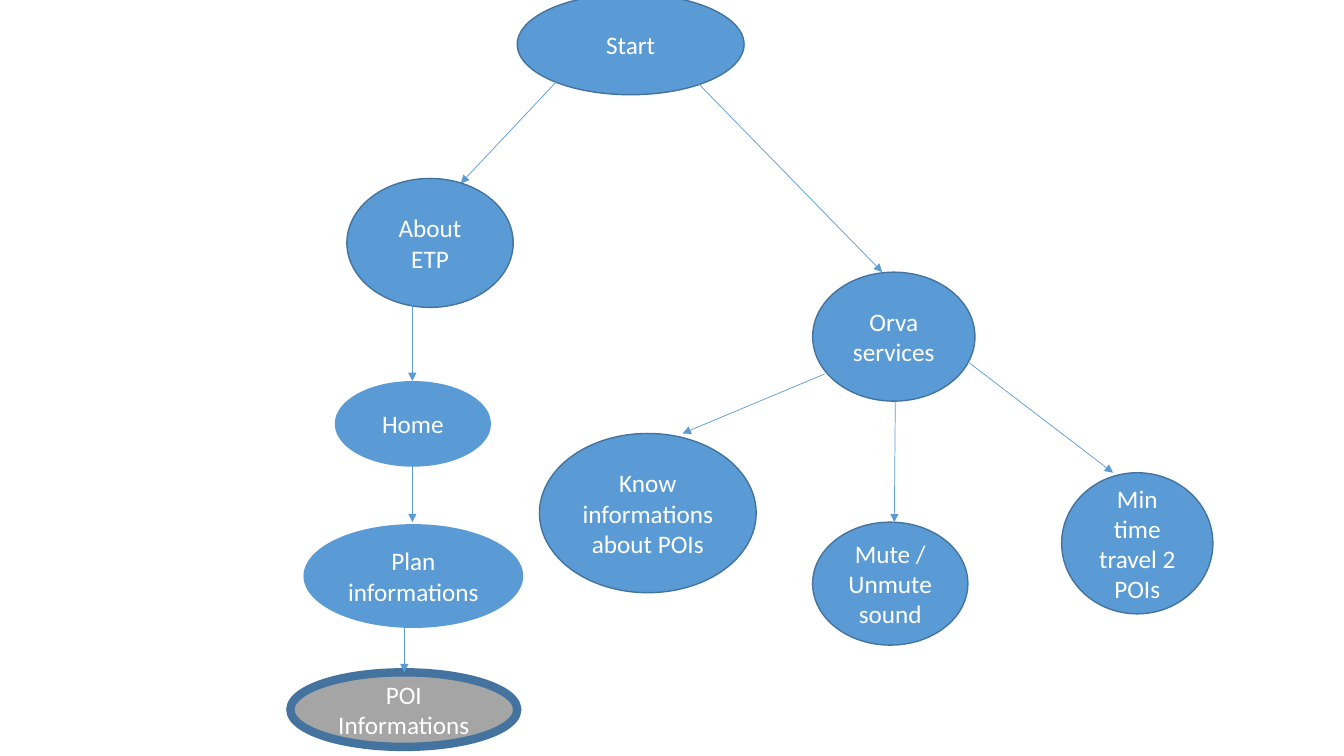
from lxml import etree
from pptx import Presentation
from pptx.dml.color import RGBColor
from pptx.enum import shapes, text
from pptx.oxml import ns
from pptx.util import Inches, Pt

COLORS = {
    "node": "5B9BD5",
    "outline": "43739E",
    "final": "A5A5A5",
    "arrow": "5B9BD5",
    "label": "FFFFFF",
}


def color(name):
    return RGBColor.from_string(COLORS[name])


def add_node(slide, box, label, fill="node", outline=1):
    shape = slide.shapes.add_shape(
        shapes.MSO_SHAPE.OVAL, *(Inches(value) for value in box)
    )
    shape.shadow.inherit = False
    shape.fill.solid()
    shape.fill.fore_color.rgb = color(fill)
    if outline:
        shape.line.color.rgb = color("outline")
        shape.line.width = Pt(outline)
    else:
        shape.line.fill.background()
    frame = shape.text_frame
    frame.word_wrap = True
    frame.vertical_anchor = text.MSO_ANCHOR.MIDDLE
    frame.text = label
    for paragraph in frame.paragraphs:
        paragraph.alignment = text.PP_ALIGN.CENTER
        for run in paragraph.runs:
            run.font.name = "Calibri"
            run.font.size = Pt(18)
            run.font.color.rgb = color("label")


def add_arrow(slide, start, end):
    connector = slide.shapes.add_connector(
        shapes.MSO_CONNECTOR.STRAIGHT, *(Inches(value) for value in (*start, *end))
    )
    connector.line.color.rgb = color("arrow")
    connector.line.width = Pt(0.5)
    line = connector.line._get_or_add_ln()
    etree.SubElement(line, ns.qn("a:tailEnd"), type="triangle")
    etree.SubElement(connector._element.spPr, ns.qn("a:effectLst"))


def draw_start(slide, left, top):
    add_node(slide, (left, top, 2.25, 1), "Start")
    add_arrow(slide, (left + 0.85, top + 0.38), (left - 0.56, top + 1.88))
    add_arrow(slide, (left + 1.71, top + 0.8), (left + 3.62, top + 2.76))


def draw_about_branch(slide, left, top):
    add_node(slide, (left + 0.56, top, 1.65, 1.28), "About ETP")
    add_node(slide, (left + 0.44, top + 2.01, 1.55, 0.85), "Home", outline=0)
    add_node(
        slide, (left + 0.13, top + 3.43, 2.18, 1.03), "Plan\ninformations", outline=0
    )
    add_node(
        slide, (left, top + 4.9, 2.25, 0.74), "POI\nInformations", "final", outline=6
    )
    for x, start, end in ((1.21, 0.93, 2.01), (1.21, 2.81, 3.41), (1.13, 4.46, 4.9)):
        add_arrow(slide, (left + x, top + start), (left + x, top + end))


def draw_services_branch(slide, left, top):
    add_node(slide, (left + 2.71, top, 1.61, 1.28), "Orva services")
    services = (
        ((0, 1.6, 2.15, 1.58), "Know informations about POIs", (2.83, 1.01), (1.42, 1.6)),
        ((2.71, 2.48, 1.54, 1.22), "Mute /\nUnmute\nsound", (3.53, 1.28), (3.52, 2.48)),
        ((5.18, 1.99, 1.5, 1.4), "Min time travel 2 POIs", (4.25, 0.89), (5.69, 1.99)),
    )
    for (x, y, width, height), label, start, end in services:
        add_node(slide, (left + x, top + y, width, height), label)
        add_arrow(
            slide,
            (left + start[0], top + start[1]),
            (left + end[0], top + end[1]),
        )


def main():
    presentation = Presentation()
    presentation.slide_width = Inches(13.33)
    presentation.slide_height = Inches(7.5)
    slide = presentation.slides.add_slide(presentation.slide_layouts[6])
    draw_start(slide, 5.13, -0.06)
    draw_about_branch(slide, 2.88, 1.77)
    draw_services_branch(slide, 5.35, 2.7)
    presentation.save("out.pptx")


if __name__ == "__main__":
    main()
